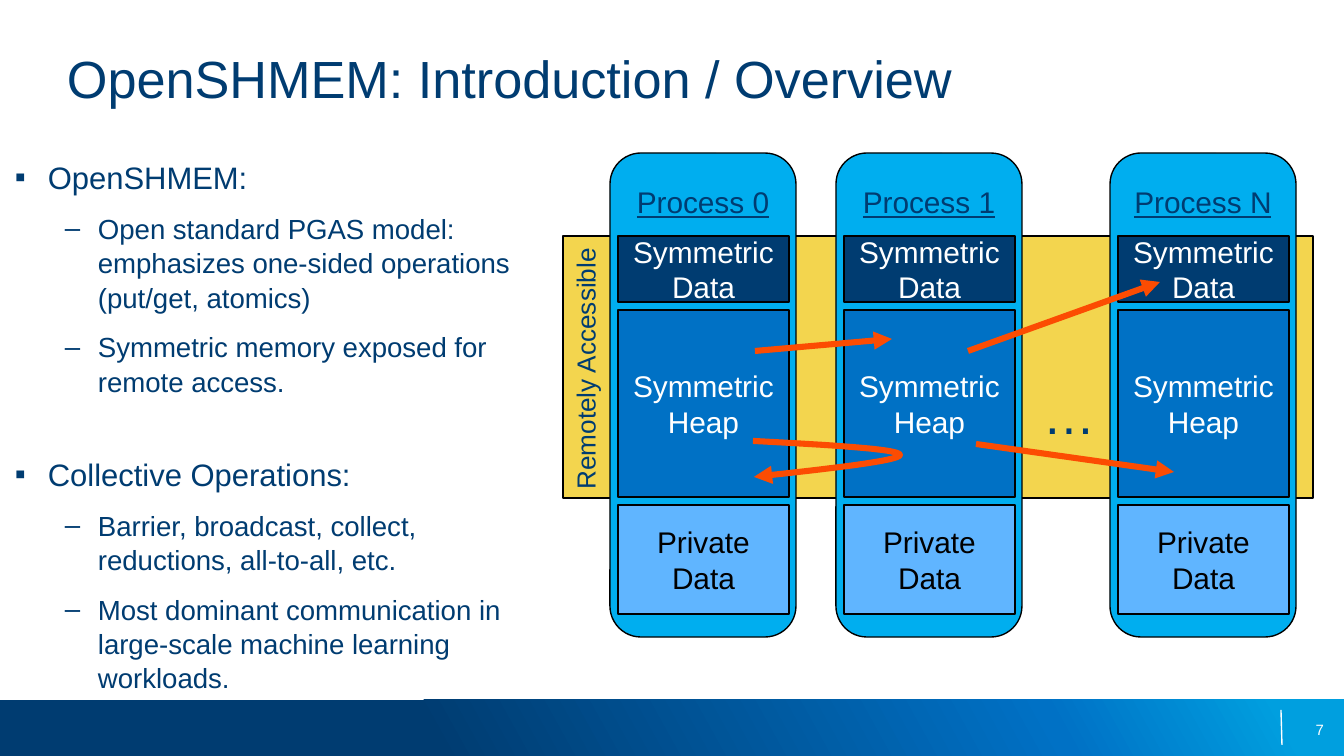
"""Build the OpenSHMEM overview slide."""
import dataclasses

import lxml.etree
import pptx
import pptx.dml.color
import pptx.enum.shapes
import pptx.enum.text
import pptx.oxml
import pptx.oxml.ns
import pptx.slide
import pptx.util

PX = 914400 / 134.4
SHAPE = pptx.enum.shapes.MSO_SHAPE
ALIGN = pptx.enum.text.PP_ALIGN
ANCHOR = pptx.enum.text.MSO_ANCHOR


@dataclasses.dataclass
class Theme:
    font: str = "Arial"
    navy: str = "003C71"
    blue: str = "0071C5"
    sky: str = "60B5FF"
    cyan: str = "00AEEF"
    yellow: str = "F3D54E"
    orange: str = "FC4C02"
    white: str = "FFFFFF"
    black: str = "000000"
    footer: tuple = ((32, "003C71"), (78, "0071C5"), (95, "009FDF"))
    title: float = 28
    topic: float = 16.6
    detail: float = 14.8
    label: float = 16
    side: float = 14
    number: float = 8
    outline: float = 0.75
    arrow: float = 3.25


def emu(*lengths):
    return [round(n * PX) for n in lengths]


def rgb(value):
    return pptx.dml.color.RGBColor.from_string(value)


def apply(obj, formats):
    for name, value in formats.items():
        setattr(obj, name, value)


@dataclasses.dataclass
class Slide:
    t: Theme
    s: pptx.slide.Slide

    def run(self, p, text, size, color, **formats):
        r = p.add_run()
        r.text = text
        apply(r.font, {"name": self.t.font, "size": pptx.util.Pt(size), **formats})
        r.font.color.rgb = rgb(color)

    def text(self, box, text, size, color, align=ALIGN.CENTER, anchor=ANCHOR.TOP,
             wrap=True, rotation=0, **formats):
        sp = self.s.shapes.add_textbox(*emu(*box))
        sp.rotation = rotation
        tf = sp.text_frame
        apply(tf, {"word_wrap": wrap, "vertical_anchor": anchor, "margin_left": 0,
                   "margin_right": 0, "margin_top": 0, "margin_bottom": 0})
        tf.paragraphs[0].alignment = align
        if text:
            self.run(tf.paragraphs[0], text, size, color, **formats)
        return tf

    def block(self, box, fill, text="", color=None, kind=SHAPE.RECTANGLE):
        sp = self.s.shapes.add_shape(kind, *emu(*box))
        sp.shadow.inherit = False
        sp.fill.solid()
        sp.fill.fore_color.rgb = rgb(fill)
        self.stroke(sp.line, self.t.black, self.t.outline)
        if text:
            tf = sp.text_frame
            apply(tf, {"word_wrap": True, "vertical_anchor": ANCHOR.MIDDLE})
            tf.paragraphs[0].alignment = ALIGN.CENTER
            self.run(tf.paragraphs[0], text, self.t.label, color)

    def gradient_bar(self, box, stops, angle):
        sp = self.s.shapes.add_shape(SHAPE.RECTANGLE, *emu(*box))
        sp.shadow.inherit = False
        sp.line.fill.background()
        sp.fill.gradient()
        sp.fill.gradient_angle = angle
        gs_list = sp._element.spPr.find(".//" + pptx.oxml.ns.qn("a:gsLst"))
        for gs in list(gs_list):
            gs_list.remove(gs)
        for pos, color in stops:
            gs = lxml.etree.SubElement(gs_list, pptx.oxml.ns.qn("a:gs"), pos=str(pos * 1000))
            lxml.etree.SubElement(gs, pptx.oxml.ns.qn("a:srgbClr"), val=color)

    def stroke(self, line, color, width, arrow=False):
        line.color.rgb = rgb(color)
        line.width = pptx.util.Pt(width)
        if arrow:
            ln = line._get_or_add_ln()
            lxml.etree.SubElement(ln, pptx.oxml.ns.qn("a:tailEnd"), type="triangle")

    def line(self, ends, color, width, arrow=False):
        kind = pptx.enum.shapes.MSO_CONNECTOR.STRAIGHT
        c = self.s.shapes.add_connector(kind, *emu(*ends))
        self.stroke(c.line, color, width, arrow)
        lxml.etree.SubElement(c._element.spPr, pptx.oxml.ns.qn("a:effectLst"))

    def curve(self, start, beziers, steps=16):
        points, a = [], start
        for b, c, d in beziers:
            for i in range(1, steps + 1):
                v = i / steps
                u = 1 - v
                weights = (u ** 3, 3 * u * u * v, 3 * u * v * v, v ** 3)
                points.append([sum(w * q[k] for w, q in zip(weights, (a, b, c, d)))
                               for k in (0, 1)])
            a = d
        fb = self.s.shapes.build_freeform(*emu(*start), scale=1.0)
        fb.add_line_segments([emu(*q) for q in points], close=False)
        sp = fb.convert_to_shape()
        sp.shadow.inherit = False
        sp.fill.background()
        self.stroke(sp.line, self.t.orange, self.t.arrow, arrow=True)

    def bullets(self, box, items):
        tf = self.text(box, "", 0, None, align=ALIGN.LEFT)
        styles = {"▪": (33, self.t.topic), "–": (83, self.t.detail)}
        for i, (mark, before, text) in enumerate(items):
            p = tf.add_paragraph() if i else tf.paragraphs[0]
            indent, size = styles[mark]
            apply(p, {"alignment": ALIGN.LEFT, "line_spacing": 1.04,
                      "space_before": pptx.util.Pt(before)})
            pPr = p._p.get_or_add_pPr()
            pPr.set("marL", str(emu(indent)[0]))
            pPr.set("indent", str(emu(-33)[0]))
            lxml.etree.SubElement(pPr, pptx.oxml.ns.qn("a:buFont"), typeface=self.t.font)
            lxml.etree.SubElement(pPr, pptx.oxml.ns.qn("a:buChar"), char=mark)
            self.run(p, text, size, self.t.navy)

    def process(self, x, name):
        t = self.t
        self.block((x, 153, 186, 484), t.cyan, kind=SHAPE.ROUNDED_RECTANGLE)
        for y, h, fill, text, color in (
                (236, 66, t.navy, "Symmetric Data", t.white),
                (310, 187, t.blue, "Symmetric Heap", t.white),
                (505, 109, t.sky, "Private Data", t.black)):
            self.block((x + 8, y, 171, h), fill, text, color)
        self.text((x + 14, 184, 158, 35), name, t.label, t.navy, underline=True)


def main():
    prs = pptx.Presentation()
    prs.slide_width, prs.slide_height = emu(1344, 756)
    t = Theme()
    s = Slide(t, prs.slides.add_slide(prs.slide_layouts[6]))
    s.gradient_bar((0, 700, 1344, 56), t.footer, 29)
    s.line((1281, 710, 1282, 745), t.white, t.outline)
    s.text((1011, 710, 313, 40), "7", t.number, t.white, ALIGN.RIGHT, ANCHOR.MIDDLE)
    s.text((67, 46, 1210, 128), "OpenSHMEM: Introduction / Overview", t.title, t.navy, ALIGN.LEFT)
    s.bullets((15, 157, 530, 509), (
        ("▪", 0, "OpenSHMEM:"),
        ("–", 8, "Open standard PGAS model: emphasizes one-sided operations (put/get, atomics)"),
        ("–", 8, "Symmetric memory exposed for remote access."),
        ("▪", 30, "Collective Operations:"),
        ("–", 8, "Barrier, broadcast, collect, reductions, all-to-all, etc."),
        ("–", 8, "Most dominant communication in large-scale machine learning workloads.")))
    s.block((563, 236, 750, 262), t.yellow)
    for x, name in ((610, "Process 0"), (836, "Process 1"), (1110, "Process N")):
        s.process(x, name)
    s.text((1043, 382, 48, 62), "…", t.title, t.navy, wrap=False)
    s.text((458, 353, 255, 32), "Remotely Accessible", t.side, t.navy, rotation=270)
    for ends in ((968, 351, 1160, 282), (976, 444, 1174, 472), (755, 351, 892, 339)):
        s.line(ends, t.orange, t.arrow, arrow=True)
    s.curve((753, 441), (((827, 445), (900, 449), (900, 455)),
                         ((900, 461), (827, 469), (754, 477))))
    prs.save("out.pptx")


if __name__ == "__main__":
    main()
